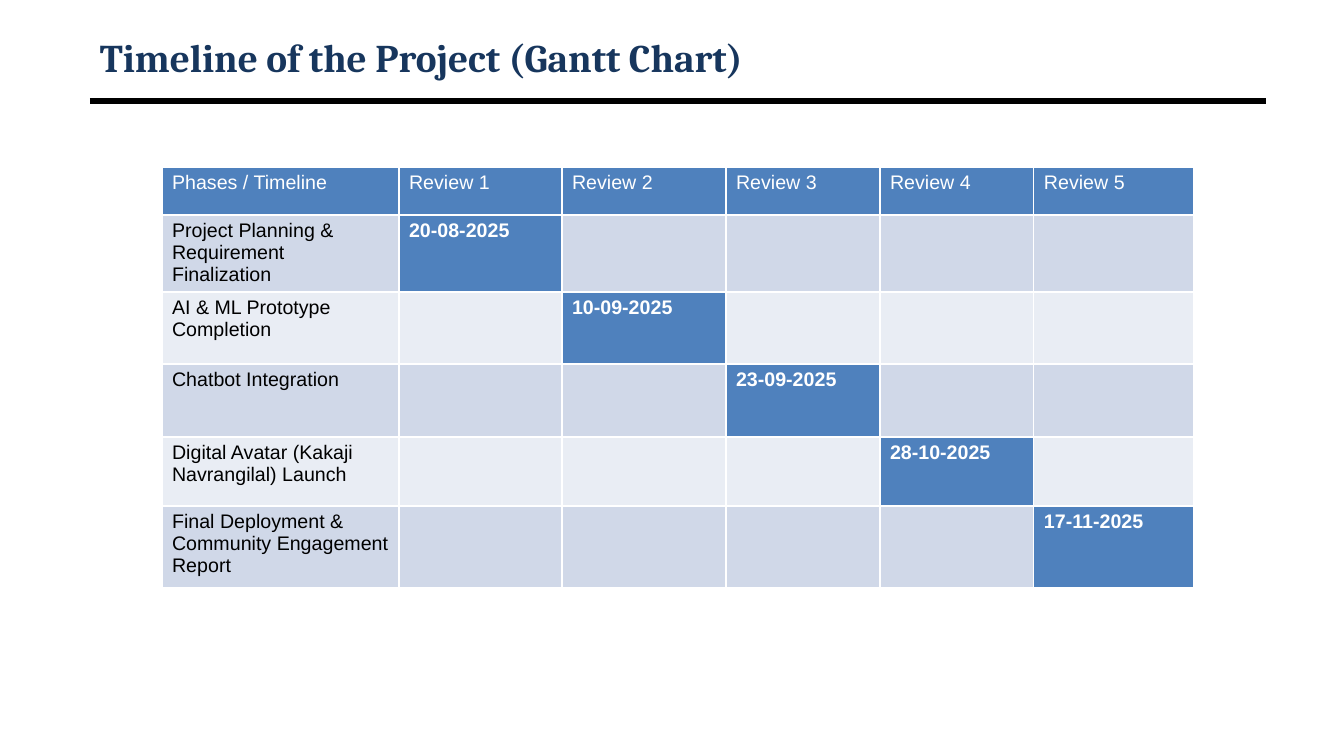
"""Build the project timeline slide with its Gantt table."""
import pptx
import pptx.dml.color
import pptx.enum.shapes
import pptx.enum.text
import pptx.oxml.ns
import pptx.util
from lxml import etree

TITLE = "Timeline of the Project (Gantt Chart)"
HEADER = ["Phases / Timeline", "Review 1", "Review 2", "Review 3", "Review 4", "Review 5"]
PHASES = [
    ("Project Planning & Requirement Finalization", "20-08-2025"),
    ("AI & ML Prototype Completion", "10-09-2025"),
    ("Chatbot Integration", "23-09-2025"),
    ("Digital Avatar (Kakaji Navrangilal) Launch", "28-10-2025"),
    ("Final Deployment & Community Engagement Report", "17-11-2025"),
]
COL_WIDTHS = [237, 163, 164, 154, 154, 160]
ROW_HEIGHTS = [48, 77, 72, 73, 69, 82]
TABLE_LEFT, TABLE_TOP = 162, 167
CELL_MARGIN_BOTTOM = 1
TITLE_BOX = (90, 30, 1176, 53)
RULE_Y = 101

ACCENT, NAVY, BLACK, WHITE = "4F81BD", "17365D", "000000", "FFFFFF"
BANDS = ["D0D8E8", "E9EDF4"]


def px(n):
    return round(n * 914400 / 100.8)


def rgb(value):
    return pptx.dml.color.RGBColor.from_string(value)


def put_text(tf, text, size=14, font="Arial", color=BLACK, bold=False):
    r = tf.paragraphs[0].add_run()
    r.text = text
    r.font.size = pptx.util.Pt(size)
    r.font.name = font
    r.font.color.rgb = rgb(color)
    r.font.bold = bold


def style_cell(cell, color):
    cell.margin_bottom = px(CELL_MARGIN_BOTTOM)
    cell.fill.solid()
    cell.fill.fore_color.rgb = rgb(color)


def add_title(slide):
    left, top, width, height = TITLE_BOX
    tf = slide.shapes.add_textbox(px(left), px(top), px(width), px(height)).text_frame
    tf.word_wrap = True
    tf.vertical_anchor = pptx.enum.text.MSO_ANCHOR.MIDDLE
    put_text(tf, TITLE, size=28, font="Cambria", color=NAVY, bold=True)

    rule = slide.shapes.add_connector(
        pptx.enum.shapes.MSO_CONNECTOR.STRAIGHT,
        px(left), px(RULE_Y), px(left + width), px(RULE_Y))
    rule.line.color.rgb = rgb(BLACK)
    rule.line.width = pptx.util.Pt(4.5)
    etree.SubElement(rule._element.spPr, pptx.oxml.ns.qn("a:effectLst"))


def add_gantt(slide):
    table = slide.shapes.add_table(
        len(ROW_HEIGHTS), len(COL_WIDTHS), px(TABLE_LEFT), px(TABLE_TOP),
        px(sum(COL_WIDTHS)), px(sum(ROW_HEIGHTS))).table
    for col, width in zip(table.columns, COL_WIDTHS):
        col.width = px(width)
    for row, height in zip(table.rows, ROW_HEIGHTS):
        row.height = px(height)

    for c, label in enumerate(HEADER):
        cell = table.cell(0, c)
        style_cell(cell, ACCENT)
        put_text(cell.text_frame, label, color=WHITE)

    for i, (phase, date) in enumerate(PHASES, start=1):
        for c in range(len(HEADER)):
            style_cell(table.cell(i, c), ACCENT if c == i else BANDS[(i - 1) % 2])
        put_text(table.cell(i, 0).text_frame, phase)
        put_text(table.cell(i, i).text_frame, date, color=WHITE, bold=True)


def main():
    prs = pptx.Presentation()
    prs.slide_width, prs.slide_height = px(1344), px(756)
    slide = prs.slides.add_slide(prs.slide_layouts[6])
    add_title(slide)
    add_gantt(slide)
    prs.save("out.pptx")


if __name__ == "__main__":
    main()
